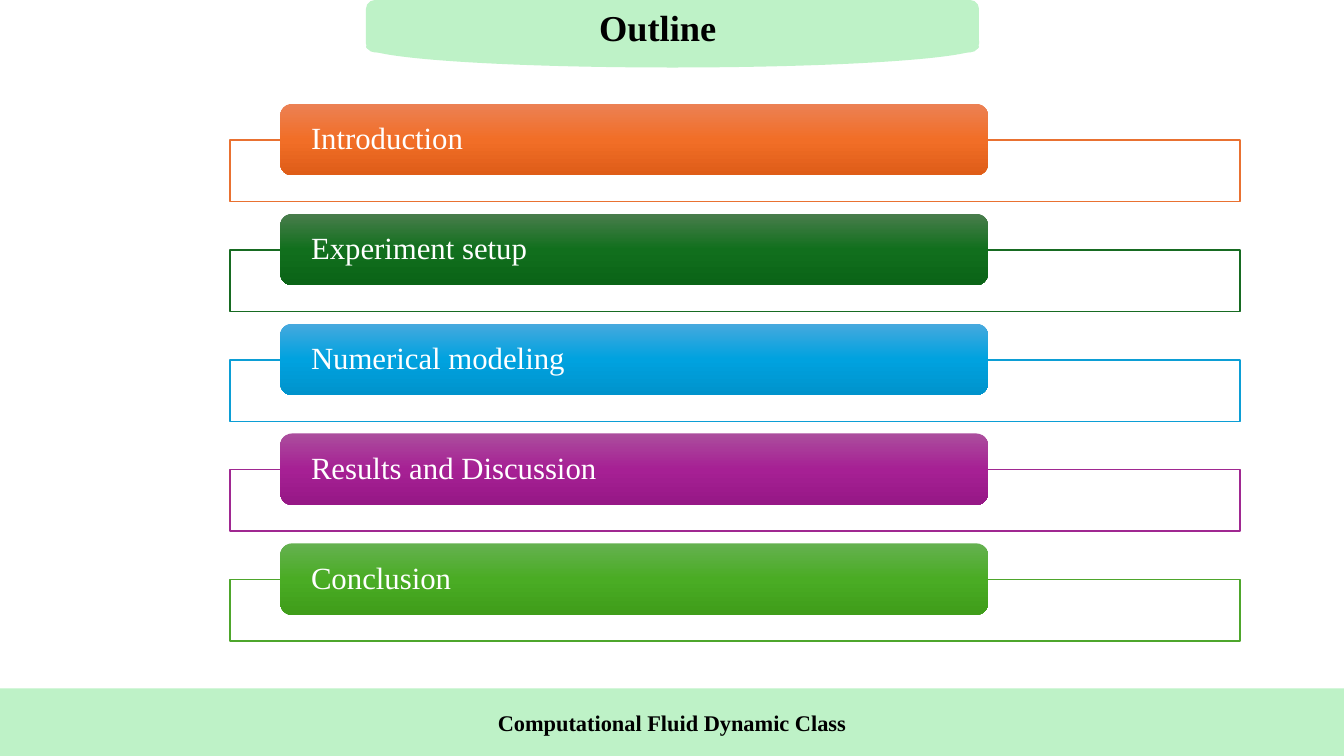
from dataclasses import dataclass

from lxml.etree import SubElement
from pptx import Presentation
from pptx.dml.color import RGBColor
from pptx.enum.shapes import MSO_SHAPE as Shape
from pptx.enum.text import MSO_ANCHOR as Anchor, MSO_AUTO_SIZE as AutoSize, PP_ALIGN as Align
from pptx.oxml.ns import qn
from pptx.util import Inches, Pt


@dataclass(frozen=True)
class Theme:
    font: str = "Times New Roman"
    mint: str = "BEF2C7"
    black: str = "000000"
    white: str = "FFFFFF"
    title_size: int = 26
    topic_size: int = 22
    footer_size: int = 16


# Topic, frame colour, gradient colours from top to bottom
TOPICS = [
    ("Introduction", "E97131", ("EC8154", "F16E27", "DF5D18")),
    ("Experiment setup", "176B22", ("497D4C", "116F1D", "0B6417")),
    ("Numerical modeling", "0C9ED5", ("47A9DE", "00A2DF", "0093CC")),
    ("Results and Discussion", "A02891", ("AB4E9D", "A62094", "961886")),
    ("Conclusion", "4EA62C", ("65B150", "4AAC24", "3F9D1A")),
]
FIRST_TOP, ROW_PITCH, FRAME_DROP = 1.03, 1.09, 0.36


class SlideBuilder:
    def __init__(self, slide, theme):
        self.slide = slide
        self.theme = theme

    def shape(self, kind, left, top, width, height, fill=None):
        """Add a flat preset shape without outline or shadow."""
        shape = self.slide.shapes.add_shape(
            kind, Inches(left), Inches(top), Inches(width), Inches(height))
        shape.shadow.inherit = False
        shape.line.fill.background()
        if fill:
            shape.fill.solid()
            shape.fill.fore_color.rgb = RGBColor.from_string(fill)
        return shape

    def label(self, shape, text, size, color, align=Align.CENTER, bold=False):
        """Put one styled line of text into a shape."""
        paragraph = shape.text_frame.paragraphs[0]
        paragraph.alignment = align
        run = paragraph.add_run()
        run.text = text
        run.font.name = self.theme.font
        run.font.size = Pt(size)
        run.font.bold = bold
        run.font.color.rgb = RGBColor.from_string(color)
        return paragraph

    def title(self, text):
        box = self.slide.shapes.add_textbox(
            Inches(5.76), Inches(0), Inches(1.53), Inches(0.54))
        box.text_frame.word_wrap = True
        box.text_frame.auto_size = AutoSize.SHAPE_TO_FIT_TEXT
        self.label(box, text, self.theme.title_size, self.theme.black, bold=True)

    def footer(self, text):
        bar = self.shape(Shape.RECTANGLE, 0, 6.83, 13.33, 0.67, self.theme.mint)
        bar.text_frame.vertical_anchor = Anchor.MIDDLE
        self.label(bar, text, self.theme.footer_size, self.theme.black, bold=True)

    def frame(self, top, color):
        """Add the outlined, slightly transparent box behind a topic."""
        frame = self.shape(Shape.RECTANGLE, 2.28, top, 10.02, 0.61, self.theme.white)
        frame.line.color.rgb = RGBColor.from_string(color)
        frame.line.width = Pt(1)
        white = frame._element.spPr.find(qn("a:solidFill")).find(qn("a:srgbClr"))
        SubElement(white, qn("a:alpha"), val="90000")

    def pill(self, top, text, colors):
        """Add a rounded bar with a vertical gradient and its topic."""
        pill = self.shape(Shape.ROUNDED_RECTANGLE, 2.78, top, 7.02, 0.71)
        pill.fill.gradient()
        pill.fill.gradient_angle = 270
        stops = pill._element.spPr.find(qn("a:gradFill")).find(qn("a:gsLst"))
        for stop in list(stops):
            stops.remove(stop)
        for index, color in enumerate(colors):
            stop = SubElement(stops, qn("a:gs"), pos=str(index * 50000))
            SubElement(stop, qn("a:srgbClr"), val=color)

        frame = pill.text_frame
        frame.margin_left = frame.margin_right = Inches(0.27)
        frame.margin_top = frame.margin_bottom = Inches(0)
        frame.vertical_anchor = Anchor.MIDDLE
        paragraph = self.label(
            pill, text, self.theme.topic_size, self.theme.white, Align.LEFT)
        paragraph.line_spacing = 0.9


def main():
    presentation = Presentation()
    presentation.slide_width = Inches(13.33)
    presentation.slide_height = Inches(7.5)
    slide = presentation.slides.add_slide(presentation.slide_layouts[6])
    builder = SlideBuilder(slide, Theme())

    # Curved title banner and footer bar
    builder.shape(Shape.OVAL, 3.63, 0.26, 6.08, 0.41, builder.theme.mint)
    builder.shape(Shape.ROUNDED_RECTANGLE, 3.63, 0, 6.08, 0.52, builder.theme.mint)
    builder.footer("Computational Fluid Dynamic Class")

    # Outline topics
    for row, (topic, frame_color, gradient) in enumerate(TOPICS):
        top = FIRST_TOP + row * ROW_PITCH
        builder.frame(top + FRAME_DROP, frame_color)
        builder.pill(top, topic, gradient)

    # Title
    builder.title("Outline")

    presentation.save("out.pptx")


if __name__ == "__main__":
    main()
